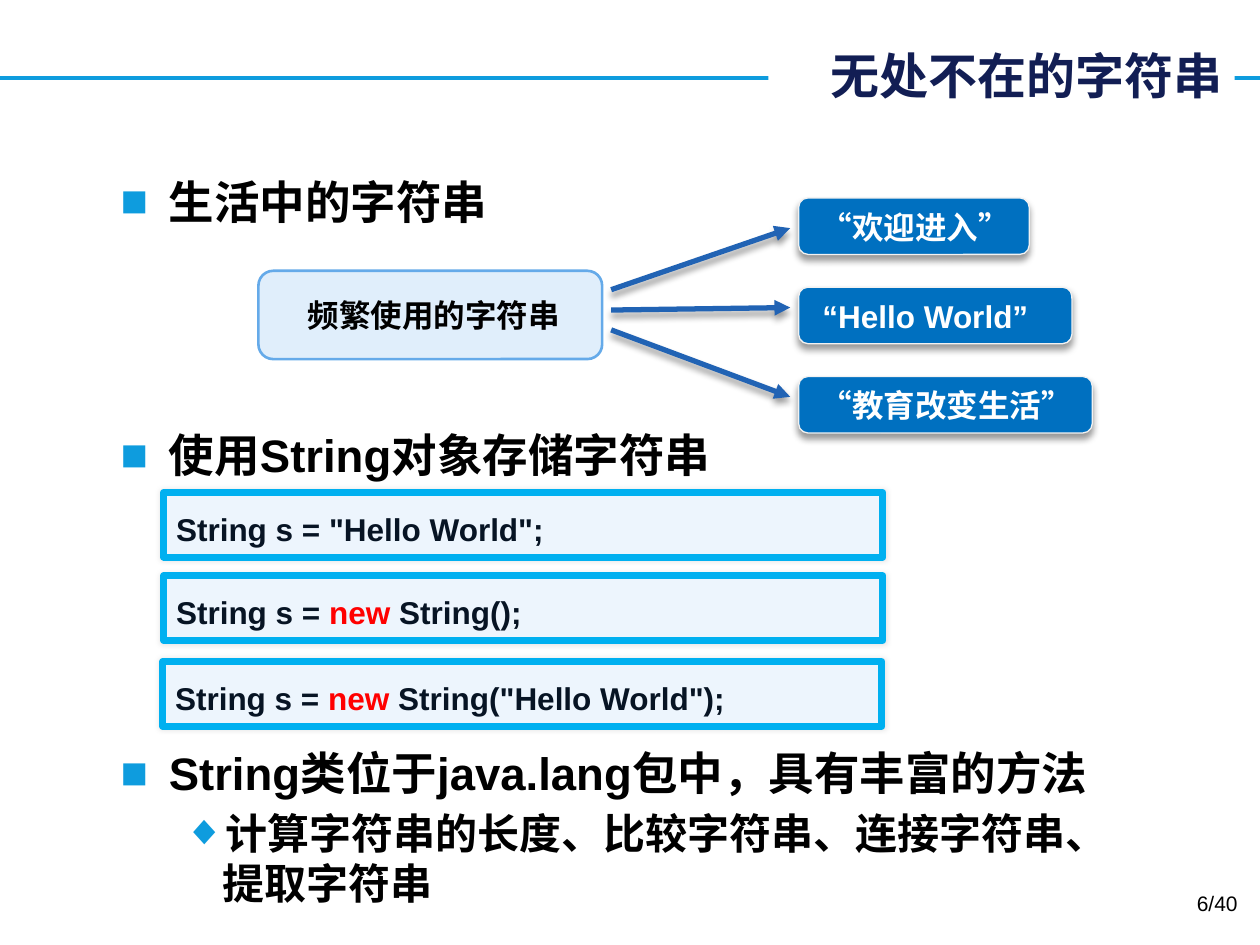
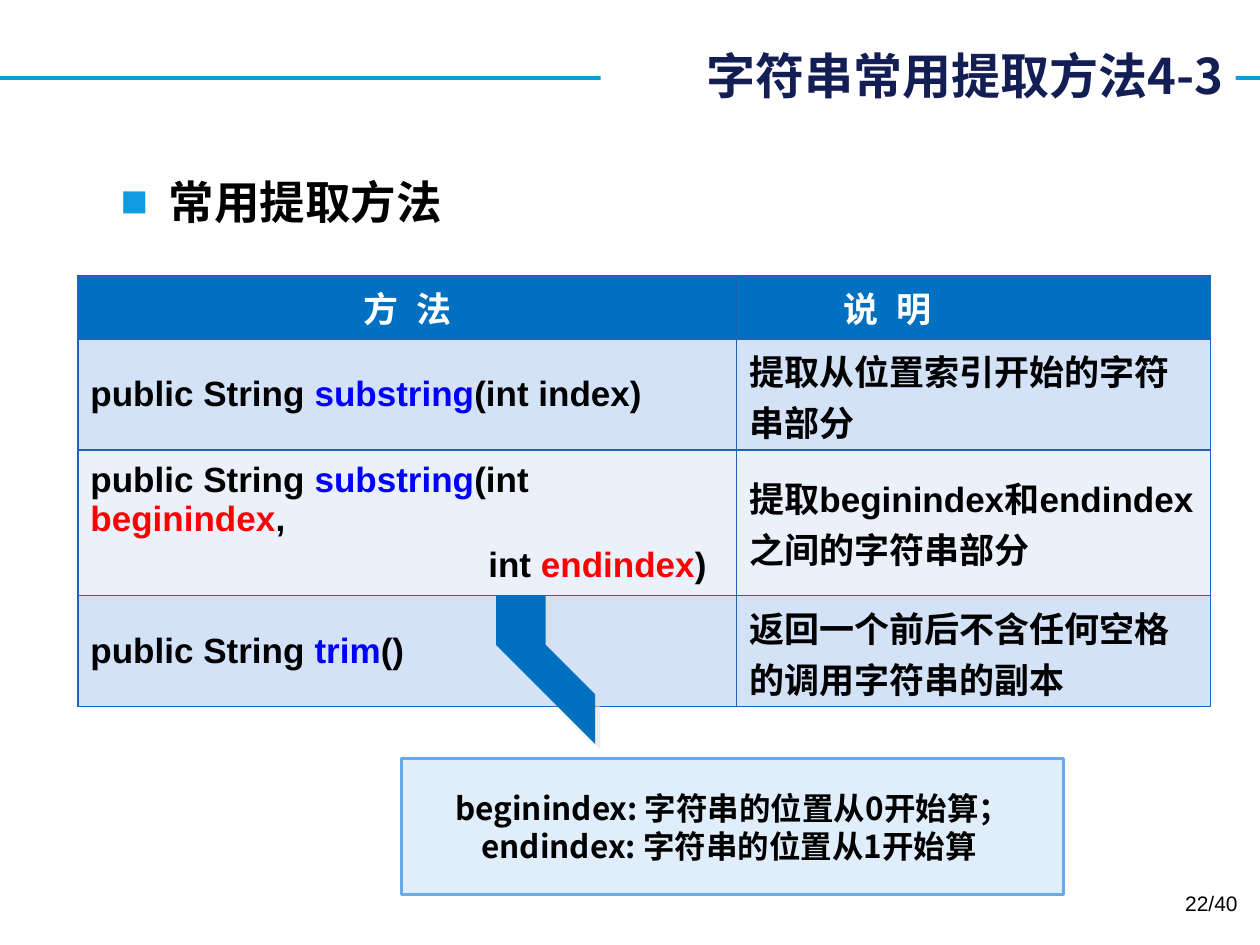
"""Build two lesson slides about Java strings and their extraction methods."""
import pptx
import pptx.dml.color
import pptx.enum.shapes
import pptx.enum.text
import pptx.oxml
import pptx.oxml.ns
import pptx.util
from lxml import etree

Cm = pptx.util.Cm
Pt = pptx.util.Pt
rgb = pptx.dml.color.RGBColor.from_string
qn = pptx.oxml.ns.qn
Shape = pptx.enum.shapes.MSO_SHAPE
Straight = pptx.enum.shapes.MSO_CONNECTOR.STRAIGHT
Align = pptx.enum.text.PP_ALIGN
Anchor = pptx.enum.text.MSO_ANCHOR
NO_FIT = pptx.enum.text.MSO_AUTO_SIZE.NONE

DROP = ("000000", 40, 4, 3, 90)
THEME = {
    "latin": "Arial", "cjk": "Noto Sans CJK SC",
    "accent": "0E9CDE", "title": "121E54", "text": "000000", "white": "FFFFFF",
    "arrow": "2163B4", "header": "0070C0", "bands": ("D3E2F7", "EAF1FB"),
    "code": "071424", "keyword": "FF0000", "method": "0000FF",
    "title_pt": 28, "list_pt": (26, 24), "table_pt": 20, "box_pt": 18, "page_pt": 12,
    "boxes": {
        "topic": {
            "fill": "E0EEFB", "line": "65AAE9", "weight": 1.5, "corner": 0.167,
            "shadow": None, "face": "cjk",
            "frame": {"vertical_anchor": Anchor.MIDDLE},
            "paragraph": {"alignment": Align.CENTER}},
        "note": {
            "fill": "E0EEFB", "line": "65AAE9", "weight": 1.5, "corner": 0,
            "shadow": None, "face": "cjk",
            "frame": {"vertical_anchor": Anchor.MIDDLE},
            "paragraph": {"alignment": Align.CENTER, "line_spacing": Pt(21.7)}},
        "phrase": {
            "fill": "0070C0", "line": "F2F2F2", "weight": 0.75, "corner": 0.167,
            "shadow": DROP, "face": "latin",
            "frame": {"vertical_anchor": Anchor.BOTTOM},
            "paragraph": {"alignment": Align.LEFT}},
        "code": {
            "fill": "EDF5FD", "line": "00B0F0", "weight": 4, "corner": 0,
            "shadow": ("000000", 10, 3, 0, 0), "face": "latin",
            "frame": {"vertical_anchor": Anchor.TOP},
            "paragraph": {"alignment": Align.LEFT, "line_spacing": 1.3}},
    },
}
BLACK, WHITE = THEME["text"], THEME["white"]
CODE, KEYWORD, METHOD = THEME["code"], THEME["keyword"], THEME["method"]


def write(paragraph, runs, size, face="latin", bold=True):
    """Add coloured runs in one size to a paragraph."""
    for words, color in runs:
        run = paragraph.add_run()
        run.text = words
        values = {"size": Pt(size), "bold": bold, "name": THEME[face]}
        for key, value in values.items():
            setattr(run.font, key, value)
        run.font.color.rgb = rgb(color)
        etree.SubElement(run._r.get_or_add_rPr(), qn("a:ea"), typeface=THEME["cjk"])


def cast_shadow(shape, effect):
    """Replace the inherited shadow by the given one, or by none."""
    effects = etree.SubElement(shape.element.spPr, qn("a:effectLst"))
    if effect:
        color, opacity, blur, distance, angle = effect
        outer = etree.SubElement(
            effects, qn("a:outerShdw"), blurRad=str(Pt(blur)), dist=str(Pt(distance)),
            dir=str(angle * 60000), algn="ctr", rotWithShape="0")
        tint = etree.SubElement(outer, qn("a:srgbClr"), val=color)
        etree.SubElement(tint, qn("a:alpha"), val=str(opacity * 1000))


deck = pptx.Presentation()
deck.slide_width, deck.slide_height = Cm(25.4), Cm(19.05)
layout = deck.slide_layouts[1]

LESSONS = [
    ("无处不在的字符串", 15.49, 9.4, "6/40", [
        ("生活中的字符串", 0, 3),
        ("使用String对象存储字符串", 0, 114),
        ("String类位于java.lang包中，具有丰富的方法", 0, 150.5),
        ("计算字符串的长度、比较字符串、连接字符串、提取字符串", 1, 4)]),
    ("字符串常用提取方法4-3", 12.11, 12.8, "22/40", [("常用提取方法", 0, 3)]),
]
BULLETS = [("■", 0.97, -0.97), ("◆", 2.06, -0.79)]

slides = []
for heading, heading_left, heading_width, page, points in LESSONS:
    slide = deck.slides.add_slide(layout)
    slides.append(slide)

    title = slide.shapes.title
    title.left, title.top = Cm(heading_left), Cm(0.79)
    title.width, title.height = Cm(heading_width), Cm(1.45)
    title.fill.solid()
    title.fill.fore_color.rgb = rgb(WHITE)
    title.text_frame.auto_size = NO_FIT
    title.text_frame.vertical_anchor = Anchor.MIDDLE
    title.text_frame.paragraphs[0].alignment = Align.RIGHT
    write(title.text_frame.paragraphs[0], [(heading, THEME["title"])], THEME["title_pt"], "cjk")

    outline = slide.placeholders[1]
    outline.left, outline.top = Cm(2.18), Cm(3.38)
    outline.width, outline.height = Cm(21.23), Cm(14.27)
    outline.text_frame.auto_size = NO_FIT
    for index, (words, level, gap) in enumerate(points):
        point = outline.text_frame.add_paragraph() if index else outline.text_frame.paragraphs[0]
        size = THEME["list_pt"][level]
        values = {"level": level, "space_before": Pt(gap), "line_spacing": Pt(size + 5)}
        for key, value in values.items():
            setattr(point, key, value)
        mark, margin, indent = BULLETS[level]
        properties = point._p.get_or_add_pPr()
        properties.set("marL", str(Cm(margin)))
        properties.set("indent", str(Cm(indent)))
        tint = etree.SubElement(properties, qn("a:buClr"))
        etree.SubElement(tint, qn("a:srgbClr"), val=THEME["accent"])
        etree.SubElement(properties, qn("a:buFont"), typeface=THEME["latin"])
        etree.SubElement(properties, qn("a:buChar"), char=mark)
        write(point, [(words, BLACK)], size)

    page_number = slide.shapes.add_textbox(Cm(19.28), Cm(17.83), Cm(5.92), Cm(1.02)).text_frame
    page_number.word_wrap = True
    page_number.paragraphs[0].alignment = Align.RIGHT
    write(page_number.paragraphs[0], [(page, BLACK)], THEME["page_pt"], bold=False)

everyday, extraction = slides

title_rule = everyday.shapes.add_connector(Straight, 0, Cm(1.57), Cm(25.4), Cm(1.57))
title_rule.line.color.rgb = rgb(THEME["accent"])
title_rule.line.width = Pt(2.25)
cast_shadow(title_rule, None)
layout.shapes.element.insert(2, title_rule.element)

METHODS = [
    ([[("public String ", BLACK), ("substring", METHOD), ("(int index)", BLACK)]],
     "提取从位置索引开始的字符串部分"),
    ([[("public String ", BLACK), ("substring", METHOD), ("(int ", BLACK),
       ("beginindex", KEYWORD), (",", BLACK)],
      [("int ", BLACK), ("endindex", KEYWORD), (")", BLACK)]],
     "提取beginindex和endindex之间的字符串部分"),
    ([[("public String ", BLACK), ("trim", METHOD), ("()", BLACK)]],
     "返回一个前后不含任何空格的调用字符串的副本"),
]
rows = [([[("方 法", WHITE)]], [[("说 明", WHITE)]])]
rows += [(signature, [[(meaning, BLACK)]]) for signature, meaning in METHODS]
methods = extraction.shapes.add_table(4, 2, Cm(1.57), Cm(5.56), Cm(22.83), Cm(8.53)).table
for column, width in zip(methods.columns, (13.28, 9.55)):
    column.width = Cm(width)
for row, height in zip(methods.rows, (1.27, 2.24, 2.79, 2.24)):
    row.height = Cm(height)
for r, row in enumerate(rows):
    for c, lines in enumerate(row):
        cell = methods.cell(r, c)
        cell.vertical_anchor = Anchor.MIDDLE
        cell.fill.solid()
        cell.fill.fore_color.rgb = rgb(THEME["bands"][(r - 1) % 2] if r else THEME["header"])
        for index, runs in enumerate(lines):
            line = cell.text_frame.add_paragraph() if index else cell.text_frame.paragraphs[0]
            line.space_before = Pt(4)
            write(line, runs, THEME["table_pt"])
            if index:
                line._p.get_or_add_pPr().set("marL", str(Cm(8.02)))
        for index, side in enumerate(("lnL", "lnR", "lnT", "lnB")):
            border = etree.Element(qn("a:" + side), w=str(Pt(1)))
            paint = etree.SubElement(border, qn("a:solidFill"))
            etree.SubElement(paint, qn("a:srgbClr"), val=THEME["arrow"])
            cell._tc.get_or_add_tcPr().insert(index, border)
for c in range(2):
    label = methods.cell(0, c).text_frame.paragraphs[0]
    label.runs[0]._r.get_or_add_rPr().set("spc", "280")
methods.cell(0, 0).text_frame.paragraphs[0].alignment = Align.CENTER
methods.cell(0, 1).margin_left = Cm(2.16)

BOXES = [
    (everyday, "topic", 5.21, 5.46, 6.93, 1.78, [(" 频繁使用的字符串", BLACK)]),
    (extraction, "note", 8.1, 15.29, 13.34, 2.74,
     [("beginindex: 字符串的位置从0开始算；endindex: 字符串的位置从1开始算 ", BLACK)]),
]
PHRASES = [("欢迎进入", 4.65), ("Hello World", 5.51), ("教育改变生活", 5.92)]
for index, (phrase, width) in enumerate(PHRASES):
    BOXES.append((everyday, "phrase", 16.1, 3.99 + 1.8 * index, width, 1.14,
                  [(f" “{phrase}”", WHITE)]))
STATEMENTS = [
    (3.3, 9.93, [('String s = "Hello World";', CODE)]),
    (3.3, 11.61, [("String s = ", CODE), ("new ", KEYWORD), ("String();", CODE)]),
    (3.28, 13.34, [("String s = ", CODE), ("new ", KEYWORD), ('String("Hello World");', CODE)]),
]
for left, top, runs in STATEMENTS:
    BOXES.append((everyday, "code", left, top, 14.5, 1.3, runs))

for slide, kind, left, top, width, height, runs in BOXES:
    look = THEME["boxes"][kind]
    box = slide.shapes.add_shape(
        Shape.ROUNDED_RECTANGLE, Cm(left), Cm(top), Cm(width), Cm(height))
    box.adjustments[0] = look["corner"]
    box.fill.solid()
    box.fill.fore_color.rgb = rgb(look["fill"])
    box.line.color.rgb = rgb(look["line"])
    box.line.width = Pt(look["weight"])
    cast_shadow(box, look["shadow"])
    box.text_frame.word_wrap = True
    statement = box.text_frame.paragraphs[0]
    for target, values in ((box.text_frame, look["frame"]), (statement, look["paragraph"])):
        for key, value in values.items():
            setattr(target, key, value)
    write(statement, runs, THEME["box_pt"], look["face"])

for start, end in ((5.84, 4.6), (6.25, 6.2), (6.65, 8.0)):
    link = everyday.shapes.add_connector(Straight, Cm(12.32), Cm(start), Cm(15.93), Cm(end))
    link.line.color.rgb = rgb(THEME["arrow"])
    link.line.width = Pt(3)
    etree.SubElement(link.element.spPr.find(qn("a:ln")), qn("a:tailEnd"), type="triangle")
    cast_shadow(link, DROP)

CURVE = [
    (11.81, 15.24), (10.59, 14.33), (10.87, 14.17), (10.72, 13.87), (10.54, 13.51),
    (10.39, 13.11), (10.29, 12.73), (10.29, 12.4), (10.34, 12.12), (10.46, 11.89),
    (10.64, 11.76), (10.85, 11.68), (10.97, 11.68), (11.23, 11.76), (11.05, 11.71),
    (10.9, 11.76), (10.82, 12.01), (10.85, 12.32), (10.97, 12.78), (11.18, 13.28),
    (11.51, 13.87), (11.81, 13.72),
]
builder = extraction.shapes.build_freeform(*CURVE[0], scale=float(Cm(1)))
builder.add_line_segments(CURVE[1:], close=True)
pointer = builder.convert_to_shape()
pointer.fill.solid()
pointer.fill.fore_color.rgb = rgb(THEME["header"])
pointer.line.fill.background()
cast_shadow(pointer, ("DDDDDD", 50, 0, 4.2, 45))

deck.save("out.pptx")
